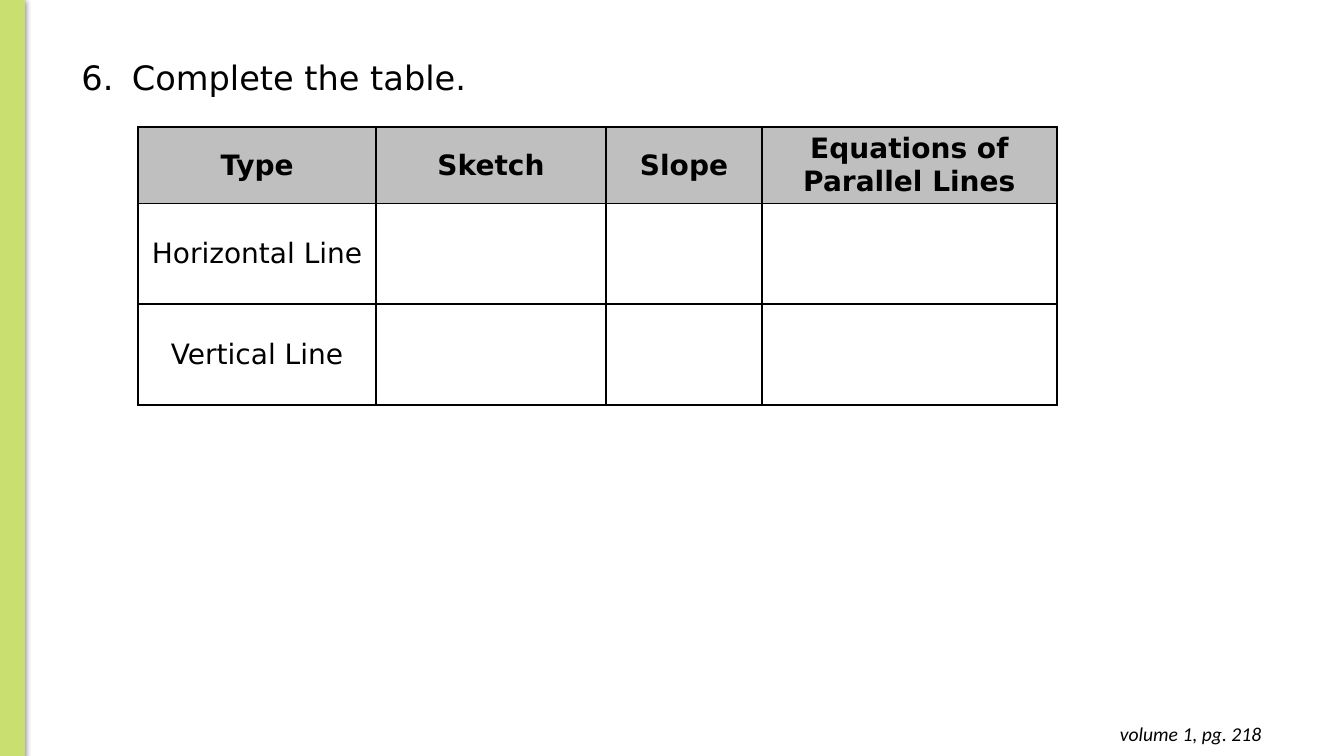
from pptx import Presentation, util as u
from pptx.dml import color
from pptx.enum import shapes, text
from pptx.oxml import parse_xml, ns

BLACK = "000000"
HEADER_GREY = "BFBFBF"
BAR_GREEN = "C9DF6F"
BODY_FONT = "DejaVu Sans"
COLUMN_WIDTHS = [2.36, 2.28, 1.55, 2.92]
ROW_HEIGHTS = [0.76, 1, 1]
ROWS = [
    ["Type", "Sketch", "Slope", "Equations of Parallel Lines"],
    ["Horizontal Line", "", "", ""],
    ["Vertical Line", "", "", ""],
]


def rgb(value):
    """Turn a hex string into a colour."""
    return color.RGBColor.from_string(value)


def element(tag, attributes, inner=""):
    """Build one DrawingML element."""
    return parse_xml(f'<a:{tag} {ns.nsdecls("a")} {attributes}>{inner}</a:{tag}>')


def set_font(paragraph, name, size, bold=False, italic=False):
    """Set the black font of a whole paragraph."""
    font = paragraph.font
    font.name, font.size = name, u.Pt(size)
    font.bold, font.italic = bold, italic
    font.color.rgb = rgb(BLACK)


def add_side_bar(slide, left, top, width, height):
    """Draw the green bar with its soft shadow."""
    bar = slide.shapes.add_shape(
        shapes.MSO_SHAPE.RECTANGLE, *map(u.Inches, (left, top, width, height)))
    bar.fill.solid()
    bar.fill.fore_color.rgb = rgb(BAR_GREEN)
    bar.line.color.rgb = rgb(BAR_GREEN)
    bar.line.width = u.Pt(0.75)
    bar.shadow.inherit = False
    effects = bar._element.spPr.find(ns.qn("a:effectLst"))
    effects.append(element(
        "outerShdw",
        f'blurRad="{u.Pt(4.5)}" dist="{u.Pt(1.5)}" dir="5400000" rotWithShape="0"',
        f'<a:srgbClr val="{BLACK}"><a:alpha val="50000"/></a:srgbClr>'))


def add_text(slide, left, top, width, height, words):
    """Add a wrapping text box and return its frame."""
    box = slide.shapes.add_textbox(*map(u.Inches, (left, top, width, height)))
    frame = box.text_frame
    frame.word_wrap = True
    frame.auto_size = text.MSO_AUTO_SIZE.SHAPE_TO_FIT_TEXT
    frame.text = words
    return frame


def add_question(slide, left, top, width, height):
    """Write the numbered question."""
    frame = add_text(slide, left, top, width, height, "Complete the table.")
    paragraph = frame.paragraphs[0]
    properties = paragraph._p.get_or_add_pPr()
    properties.set("marL", str(u.Inches(0.5)))
    properties.set("indent", str(u.Inches(-0.5)))
    properties.append(element("buClr", "", f'<a:srgbClr val="{BLACK}"/>'))
    properties.append(element("buFont", f'typeface="{BODY_FONT}"'))
    properties.append(element("buAutoNum", 'type="arabicPeriod" startAt="6"'))
    set_font(paragraph, BODY_FONT, 24)


def add_page_reference(slide, left, top, width, height):
    """Write the page reference in the corner."""
    frame = add_text(slide, left, top, width, height, "volume 1, pg. 218")
    frame.margin_top = frame.margin_bottom = u.Inches(0.1)
    paragraph = frame.paragraphs[0]
    paragraph.alignment = text.PP_ALIGN.RIGHT
    set_font(paragraph, "Calibri", 14, italic=True)


def fill_cell(cell, words, header):
    """Style one table cell and write its words."""
    properties = cell._tc.get_or_add_tcPr()
    for side in ("lnL", "lnR", "lnT", "lnB"):
        properties.append(element(
            side, f'w="{u.Pt(1.5)}"',
            f'<a:solidFill><a:srgbClr val="{BLACK}"/></a:solidFill>'))
    if header:
        cell.fill.solid()
        cell.fill.fore_color.rgb = rgb(HEADER_GREY)
    else:
        cell.fill.background()
    cell.vertical_anchor = text.MSO_ANCHOR.MIDDLE
    cell.margin_left = cell.margin_right = u.Inches(0.07)
    cell.text = words
    paragraph = cell.text_frame.paragraphs[0]
    paragraph.alignment = text.PP_ALIGN.CENTER
    set_font(paragraph, BODY_FONT, 20, bold=header)


def add_line_table(slide, left, top):
    """Add the table of line types."""
    table = slide.shapes.add_table(
        len(ROWS), len(COLUMN_WIDTHS), u.Inches(left), u.Inches(top),
        u.Inches(sum(COLUMN_WIDTHS)), u.Inches(sum(ROW_HEIGHTS))).table
    table.horz_banding = False
    for column, width in zip(table.columns, COLUMN_WIDTHS):
        column.width = u.Inches(width)
    for index, (row, height) in enumerate(zip(table.rows, ROW_HEIGHTS)):
        row.height = u.Inches(height)
        for cell, words in zip(row.cells, ROWS[index]):
            fill_cell(cell, words, header=index == 0)


def main():
    """Build and save the slide."""
    presentation = Presentation()
    presentation.slide_width = u.Inches(13.33)
    presentation.slide_height = u.Inches(7.5)
    slide = presentation.slides.add_slide(presentation.slide_layouts[6])
    add_side_bar(slide, 0, -0.01, 0.24, 7.51)
    add_line_table(slide, 1.37, 1.26)
    add_page_reference(slide, 9.73, 7.06, 2.88, 0.44)
    add_question(slide, 0.71, 0.52, 11.91, 0.5)
    presentation.save("out.pptx")


if __name__ == "__main__":
    main()
